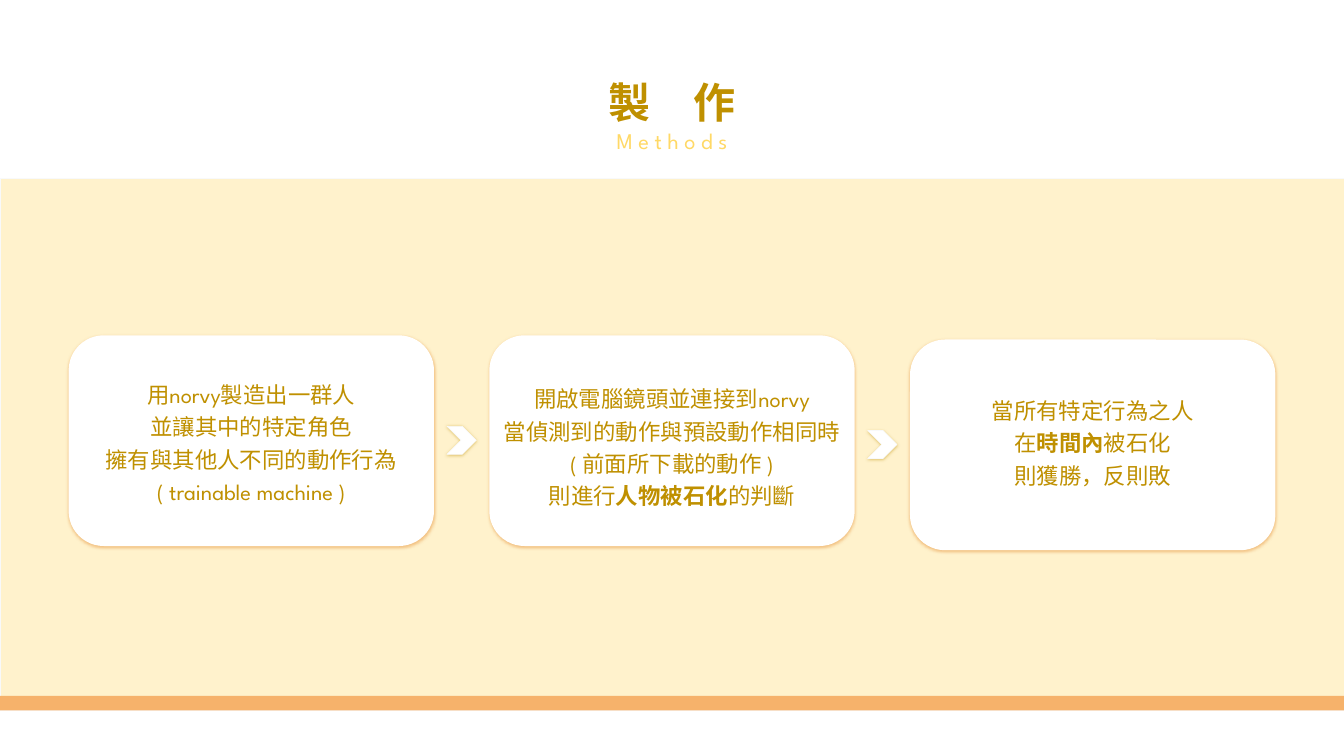
import pptx
import pptx.util
import pptx.dml.color
import pptx.enum.shapes
import pptx.enum.text
import pptx.oxml

Pt = pptx.util.Pt
Kind = pptx.enum.shapes.MSO_SHAPE

HUES = {
    "band": "FFF2CC", "strip": "F6B26B", "white": "FFFFFF", "edge": "F8F9FA",
    "text": "BF9000", "sub": "FFD966", "glow": "E69138",
}
WIDE, HIGH = 1920, 1080
FONT = "League Spartan"
INSET = 6

# Each line is a list of runs: (text, bold)
STEPS = [
    {"top": 479, "text_mid": 629, "text_size": (437, 190), "lines": [
        [("用norvy製造出一群人", False)],
        [("並讓其中的特定角色", False)],
        [("擁有與其他人不同的動作行為", False)],
        [("( trainable machine )", False)]]},
    {"top": 479, "text_mid": 635, "text_size": (501, 190), "lines": [
        [("開啟電腦鏡頭並連接到norvy", False)],
        [("當偵測到的動作與預設動作相同時", False)],
        [("( 前面所下載的動作 )", False)],
        [("則進行", False), ("人物被石化", True), ("的判斷", False)]]},
    {"top": 485, "text_mid": 629, "text_size": (309, 143), "lines": [
        [("當所有特定行為之人", False)],
        [("在", False), ("時間內", True), ("被石化", False)],
        [("則獲勝，反則敗", False)]]},
]
ARROW_MIDS = [629, 635]
CARD_W, CARD_H, PITCH = 522, 301, 601
ARROW_W, ARROW_H = 42, 40

SHADE = (
    '<a:outerShdw xmlns:a="http://schemas.openxmlformats.org/drawingml/2006/main"'
    ' blurRad="57150" dist="19050" dir="5400000" algn="bl" rotWithShape="0">'
    '<a:srgbClr val="{}"><a:alpha val="50000"/></a:srgbClr></a:outerShdw>'
)


def hue(name):
    return pptx.dml.color.RGBColor.from_string(HUES[name])


def add_box(slide, kind, left, top, width, height, fill, edge=None, shade=None):
    box = slide.shapes.add_shape(kind, Pt(left), Pt(top), Pt(width), Pt(height))
    box.fill.solid()
    box.fill.fore_color.rgb = hue(fill)
    if edge:
        box.line.color.rgb = hue(edge)
        box.line.width = Pt(0.75)
    else:
        box.line.fill.background()
    box.shadow.inherit = False
    if shade:
        effects = box._element.spPr.find(pptx.oxml.ns.qn("a:effectLst"))
        effects.append(pptx.oxml.parse_xml(SHADE.format(HUES[shade])))
    return box


def set_frame(frame):
    frame.margin_left = frame.margin_right = Pt(INSET)
    frame.margin_top = frame.margin_bottom = Pt(INSET)
    frame.word_wrap = True
    frame.auto_size = pptx.enum.text.MSO_AUTO_SIZE.SHAPE_TO_FIT_TEXT
    frame.vertical_anchor = pptx.enum.text.MSO_ANCHOR.MIDDLE


def add_line(frame, index, runs, size, font, color, space=None):
    line = frame.add_paragraph() if index else frame.paragraphs[0]
    line.alignment = pptx.enum.text.PP_ALIGN.CENTER
    if space:
        line.line_spacing = space
    for text, bold in runs:
        run = line.add_run()
        run.text = text
        run.font.size = Pt(size)
        run.font.name = font
        run.font.bold = bold
        run.font.color.rgb = hue(color)


def add_title(slide):
    title = slide.shapes.title
    title.left, title.top = Pt(0), Pt(103)
    title.width, title.height = Pt(WIDE), Pt(123)
    set_frame(title.text_frame)
    add_line(title.text_frame, 0, [("製　作", True)], 60, "Arial", "text")
    add_line(title.text_frame, 1, [("M e t h o d s", False)], 32, FONT, "sub")


def add_step(slide, mid, step):
    add_box(slide, Kind.ROUNDED_RECTANGLE, mid - CARD_W / 2, step["top"],
            CARD_W, CARD_H, "white", shade="glow")
    width, height = step["text_size"]
    label = slide.shapes.add_textbox(
        Pt(mid - width / 2), Pt(step["text_mid"] - height / 2), Pt(width), Pt(height))
    set_frame(label.text_frame)
    for index, runs in enumerate(step["lines"]):
        add_line(label.text_frame, index, runs, 32, FONT, "text", 1.2)


def main():
    deck = pptx.Presentation()
    deck.slide_width, deck.slide_height = Pt(WIDE), Pt(HIGH)
    slide = deck.slides.add_slide(deck.slide_layouts[5])
    add_title(slide)
    add_box(slide, Kind.RECTANGLE, 0, 255, WIDE, 760, "band", "edge")
    add_box(slide, Kind.RECTANGLE, 0, 994, WIDE, 21, "strip")

    mids = [WIDE / 2 + (i - 1) * PITCH for i in range(len(STEPS))]
    for mid, step in zip(mids, STEPS):
        add_step(slide, mid, step)
    for left, right, level in zip(mids, mids[1:], ARROW_MIDS):
        add_box(slide, Kind.CHEVRON, (left + right - ARROW_W) / 2, level - ARROW_H / 2,
                ARROW_W, ARROW_H, "white", "edge", "text")
    deck.save("out.pptx")


if __name__ == "__main__":
    main()
